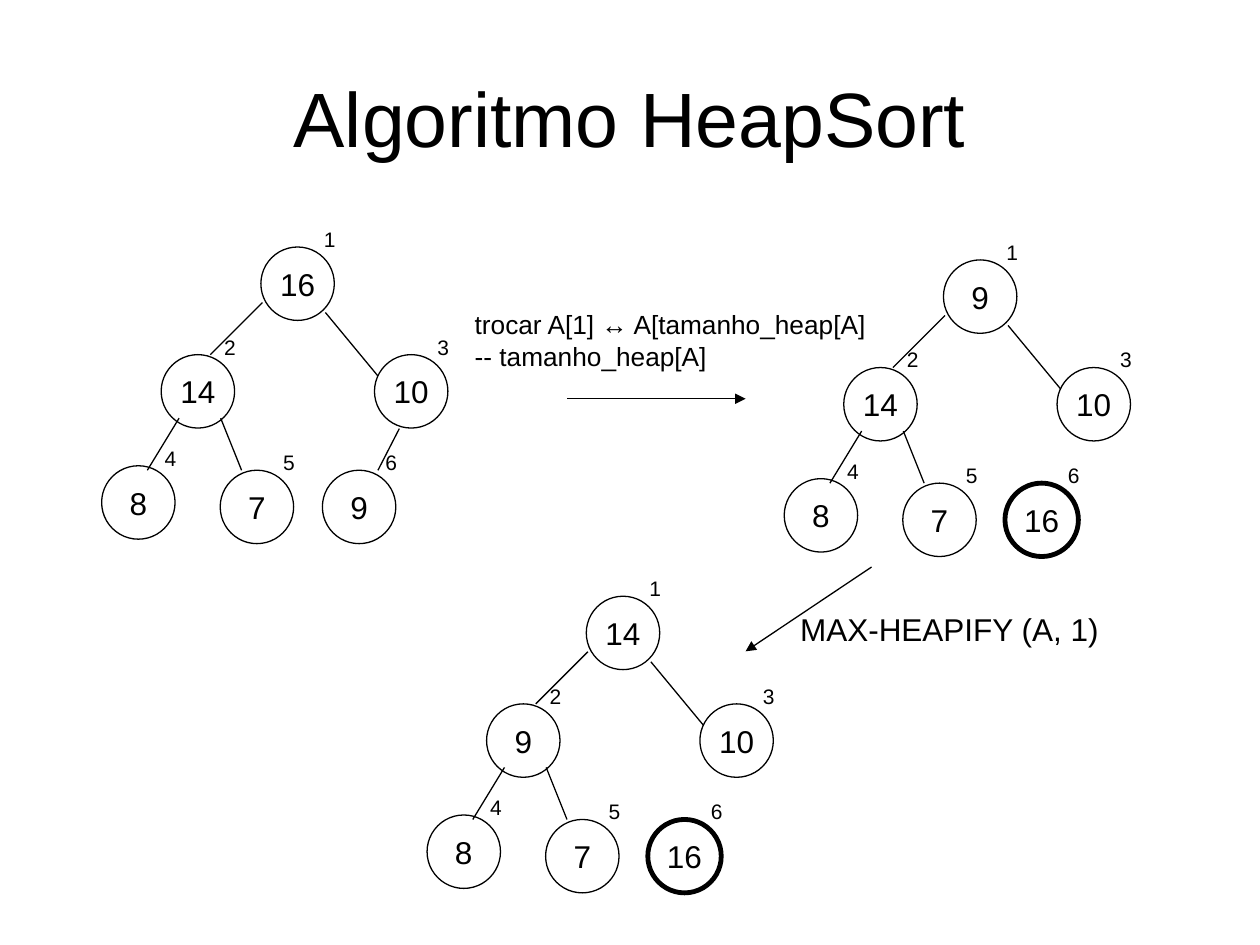
from dataclasses import dataclass

from lxml.etree import SubElement
from pptx import Presentation
from pptx.dml.color import RGBColor
from pptx.enum.shapes import MSO_CONNECTOR, MSO_SHAPE
from pptx.enum.text import MSO_ANCHOR, MSO_AUTO_SIZE, PP_ALIGN
from pptx.oxml.ns import qn
from pptx.util import Cm, Pt

BLACK = "000000"
FONT = "Arial"
THIN, THICK = 0.75, 2.75
DIAMETER = 1.48
INDEX_SHIFT = (1.02, -0.54)
INDEX_SIZE = (0.74, 0.76)

# Node positions in heap order, relative to the root (cm)
NODE_OFFSETS = [(0, 0), (-2.01, 2.17), (2.29, 2.17),
                (-3.21, 4.41), (-0.82, 4.5), (1.24, 4.5)]

# Edge ends relative to the root, keyed by the child's heap index (cm)
EDGES = {
    2: ((-1.02, 2.17), (0.03, 1.12)),
    3: ((1.3, 1.32), (2.36, 2.6)),
    4: ((-2.29, 4.5), (-1.65, 3.45)),
    5: ((-0.81, 3.45), (-0.39, 4.5)),
    6: ((2.36, 4.5), (2.79, 3.66)),
}


@dataclass
class Heap:
    left: float
    top: float
    values: list[int]
    size: int  # nodes past this index are already sorted


@dataclass
class Caption:
    left: float
    top: float
    width: float
    height: float
    text: str
    points: float


@dataclass
class Arrow:
    start: tuple[float, float]
    end: tuple[float, float]


HEAPS = [
    Heap(5.26, 4.98, [16, 14, 10, 8, 7, 9], 6),
    Heap(19.02, 5.24, [9, 14, 10, 8, 7, 16], 5),
    Heap(11.82, 12.02, [14, 9, 10, 8, 7, 16], 5),
]
ARROWS = [
    Arrow((11.43, 8.04), (15.03, 8.04)),
    Arrow((17.57, 11.43), (15.03, 13.13)),
]
CAPTIONS = [
    Caption(9.32, 6.1, 8.43, 1.52,
            "trocar A[1] ↔ A[tamanho_heap[A]\n-- tamanho_heap[A]", 15),
    Caption(15.88, 12.17, 6.53, 1.02, "MAX-HEAPIFY (A, 1)", 18),
]


def color(value: str) -> RGBColor:
    return RGBColor.from_string(value)


def write(frame, text: str, points: float, align=PP_ALIGN.LEFT) -> None:
    frame.text = text
    for para in frame.paragraphs:
        para.alignment = align
        for span in para.runs:
            span.font.name = FONT
            span.font.size = Pt(points)
            span.font.color.rgb = color(BLACK)


def add_caption(shapes, caption: Caption) -> None:
    box = shapes.add_textbox(Cm(caption.left), Cm(caption.top),
                             Cm(caption.width), Cm(caption.height))
    box.text_frame.word_wrap = False
    box.text_frame.auto_size = MSO_AUTO_SIZE.SHAPE_TO_FIT_TEXT
    write(box.text_frame, caption.text, caption.points)


def add_line(shapes, start: tuple[float, float], end: tuple[float, float],
             arrowhead: bool = False) -> None:
    line = shapes.add_connector(MSO_CONNECTOR.STRAIGHT, Cm(start[0]), Cm(start[1]),
                                Cm(end[0]), Cm(end[1]))
    line.line.color.rgb = color(BLACK)
    line.line.width = Pt(THIN)
    if arrowhead:
        SubElement(line.line._get_or_add_ln(), qn("a:tailEnd"), type="triangle")
    SubElement(line._element.spPr, qn("a:effectLst"))


def add_node(shapes, left: float, top: float, value: int, index: int,
             outline: float) -> None:
    """Group a circled value with its heap index."""
    group = shapes.add_group_shape()
    circle = group.shapes.add_shape(MSO_SHAPE.OVAL, Cm(left), Cm(top),
                                    Cm(DIAMETER), Cm(DIAMETER))
    circle.shadow.inherit = False
    circle.fill.background()
    circle.line.color.rgb = color(BLACK)
    circle.line.width = Pt(outline)
    circle.text_frame.word_wrap = False
    circle.text_frame.vertical_anchor = MSO_ANCHOR.MIDDLE
    write(circle.text_frame, str(value), 18, PP_ALIGN.CENTER)
    add_caption(group.shapes, Caption(left + INDEX_SHIFT[0], top + INDEX_SHIFT[1],
                                      *INDEX_SIZE, str(index), 12))


def add_heap(shapes, heap: Heap) -> None:
    for index, (value, (dx, dy)) in enumerate(zip(heap.values, NODE_OFFSETS), 1):
        outline = THIN if index <= heap.size else THICK
        add_node(shapes, heap.left + dx, heap.top + dy, value, index, outline)
    for child, ends in EDGES.items():
        if child <= heap.size:
            start, end = [(heap.left + x, heap.top + y) for x, y in ends]
            add_line(shapes, start, end)


def main() -> None:
    deck = Presentation()
    deck.slide_width, deck.slide_height = Cm(25.4), Cm(19.05)
    page = deck.slides.add_slide(deck.slide_layouts[5])

    # Title
    title = page.shapes.title
    title.left, title.top = Cm(1.27), Cm(0.76)
    title.width, title.height = Cm(22.86), Cm(3.18)
    title.text_frame.vertical_anchor = MSO_ANCHOR.MIDDLE
    write(title.text_frame, "Algoritmo HeapSort", 44, PP_ALIGN.CENTER)

    # Heap states
    for heap in HEAPS:
        add_heap(page.shapes, heap)

    # Steps between the states
    for arrow in ARROWS:
        add_line(page.shapes, arrow.start, arrow.end, arrowhead=True)
    for caption in CAPTIONS:
        add_caption(page.shapes, caption)

    deck.save("out.pptx")


if __name__ == "__main__":
    main()
